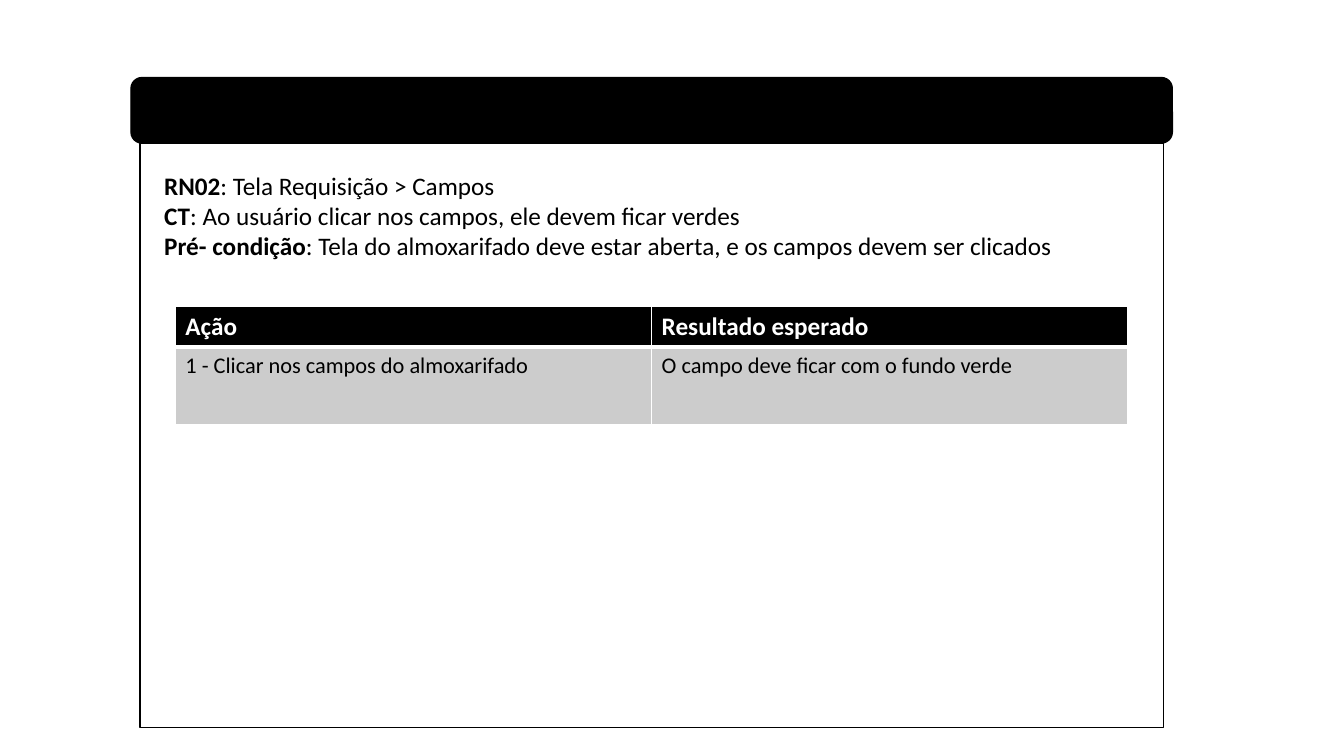
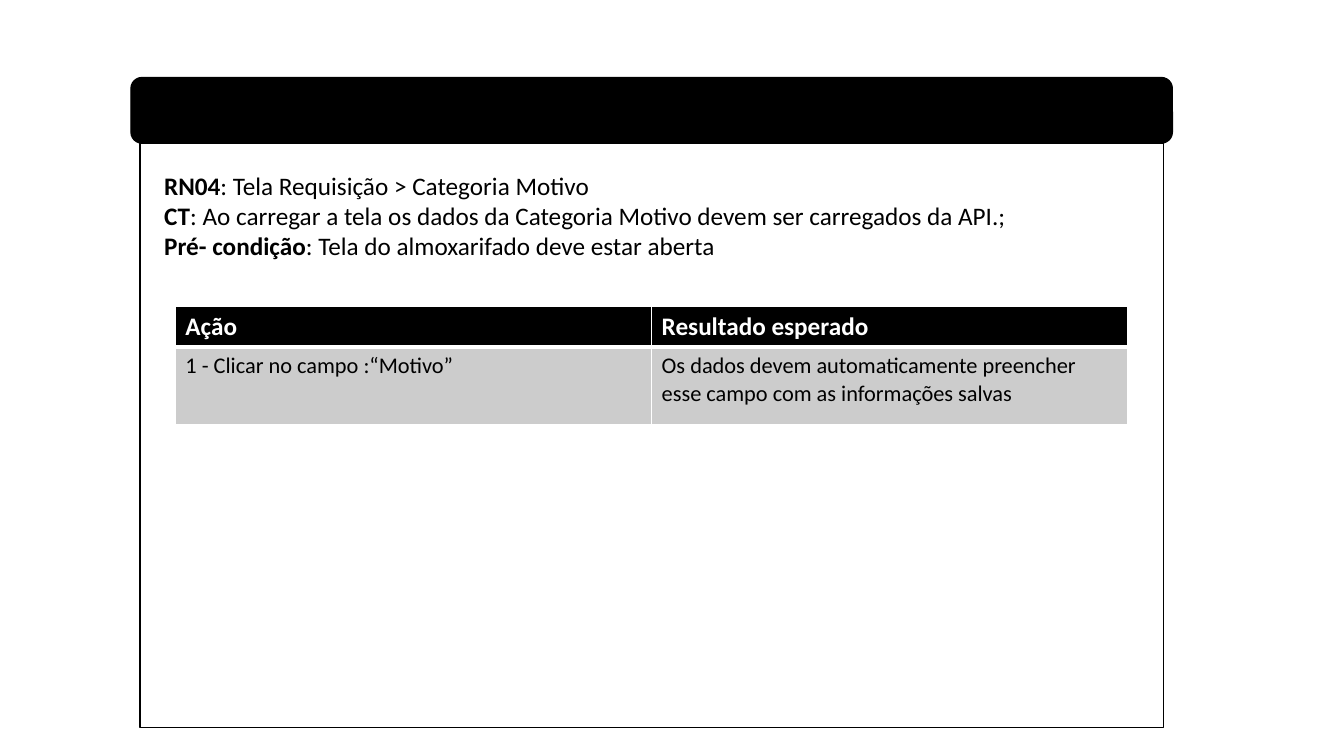
import pptx
import pptx.util
import pptx.dml.color
import pptx.enum.shapes
import pptx.oxml
import pptx.oxml.ns
from lxml import etree

Pt = pptx.util.Pt
RGBColor = pptx.dml.color.RGBColor
SHAPES = pptx.enum.shapes.MSO_SHAPE

BLACK = RGBColor(0x00, 0x00, 0x00)
WHITE = RGBColor(0xFF, 0xFF, 0xFF)
GRAY = RGBColor(0xCC, 0xCC, 0xCC)
FONT = "Calibri"

# Card box: left, top, width, height
CARD = (93.6, 55.4, 743.8, 464.4)
BAND_HEIGHT = 46.8
PANEL_INSET = 6.5

SUMMARY_LABELS = ("CT", "Pré- condição")
STEP_HEADINGS = ("Ação", "Resultado esperado")
ROW_HEIGHTS = (29.2, 55)

TEST_CASES = [
    {
        "rule": ("RN02", "Tela Requisição > Campos"),
        "summary": (
            "Ao usuário clicar nos campos, ele devem ficar verdes",
            "Tela do almoxarifado deve estar aberta, e os campos devem ser clicados",
        ),
        "step": (
            "1 - Clicar nos campos do almoxarifado",
            "O campo deve ficar com o fundo verde",
        ),
    },
    {
        "rule": ("RN04", "Tela Requisição > Categoria Motivo"),
        "summary": (
            "Ao carregar a tela os dados da Categoria Motivo devem ser carregados da API.;",
            "Tela do almoxarifado deve estar aberta",
        ),
        "step": (
            "1 - Clicar no campo :“Motivo”",
            "Os dados devem automaticamente preencher esse campo com as informações salvas",
        ),
    },
]


def style_font(font, size, color, bold=None):
    font.name = FONT
    font.size = Pt(size)
    font.color.rgb = color
    font.bold = bold


def add_outlined(slide, preset, box, fill=None):
    outlined = slide.shapes.add_shape(preset, *map(Pt, box))
    outlined.shadow.inherit = False
    outlined.line.color.rgb = BLACK
    outlined.line.width = Pt(1)
    if fill is None:
        outlined.fill.background()
    else:
        outlined.fill.solid()
        outlined.fill.fore_color.rgb = fill


def add_frame(slide, box):
    """Black title band over an outlined panel."""
    left, top, width, height = box
    add_outlined(slide, SHAPES.ROUNDED_RECTANGLE,
                 (left, top, width, BAND_HEIGHT), BLACK)
    add_outlined(slide, SHAPES.RECTANGLE,
                 (left + PANEL_INSET, top + BAND_HEIGHT,
                  width - 2 * PANEL_INSET, height - BAND_HEIGHT))


def add_summary(slide, box, entries):
    """One line per entry: bold label, then plain text."""
    frame = slide.shapes.add_textbox(*map(Pt, box)).text_frame
    frame.word_wrap = True
    for index, (label, text) in enumerate(entries):
        line = frame.add_paragraph() if index else frame.paragraphs[0]
        style_font(line.font, 18, BLACK)
        label_run = line.add_run()
        label_run.text = label
        label_run.font.bold = True
        line.add_run().text = f": {text}"


def set_borders(cell, bottom_width):
    properties = cell._tc.get_or_add_tcPr()
    widths = {"a:lnL": 1, "a:lnR": 1, "a:lnT": 1, "a:lnB": bottom_width}
    for tag, width in widths.items():
        border = etree.SubElement(properties, pptx.oxml.ns.qn(tag), w=str(Pt(width)))
        fill = etree.SubElement(border, pptx.oxml.ns.qn("a:solidFill"))
        etree.SubElement(fill, pptx.oxml.ns.qn("a:srgbClr"), val=str(WHITE))


def add_steps(slide, box, step):
    """Header row and one test step."""
    steps = slide.shapes.add_table(2, 2, *map(Pt, box)).table
    # text, size, text colour, bold, fill, bottom border
    rows = (
        (STEP_HEADINGS, 18, WHITE, True, BLACK, 3),
        (step, 16, BLACK, False, GRAY, 1),
    )
    for r, (texts, size, color, bold, fill, bottom_width) in enumerate(rows):
        steps.rows[r].height = Pt(ROW_HEIGHTS[r])
        for c, text in enumerate(texts):
            cell = steps.cell(r, c)
            # Each edge between rows keeps the header's thick line
            set_borders(cell, bottom_width)
            if r:
                top_edge = cell._tc.tcPr.find(pptx.oxml.ns.qn("a:lnT"))
                top_edge.set("w", str(Pt(rows[r - 1][-1])))
            cell.fill.solid()
            cell.fill.fore_color.rgb = fill
            cell.text = text
            style_font(cell.text_frame.paragraphs[0].font, size, color, bold)


def add_test_case(presentation, box, case):
    slide = presentation.slides.add_slide(presentation.slide_layouts[6])
    left, top, width, _ = box
    add_frame(slide, box)
    entries = [case["rule"], *zip(SUMMARY_LABELS, case["summary"])]
    add_summary(slide, (left + 16.6, top + 62.7, 720, 72.7), entries)
    add_steps(slide, (left + 31.7, top + 163.5, width - 63.4, sum(ROW_HEIGHTS)),
              case["step"])


def main():
    presentation = pptx.Presentation()
    presentation.slide_width = Pt(960)
    presentation.slide_height = Pt(540)
    for case in TEST_CASES:
        add_test_case(presentation, CARD, case)
    presentation.save("out.pptx")


if __name__ == "__main__":
    main()
